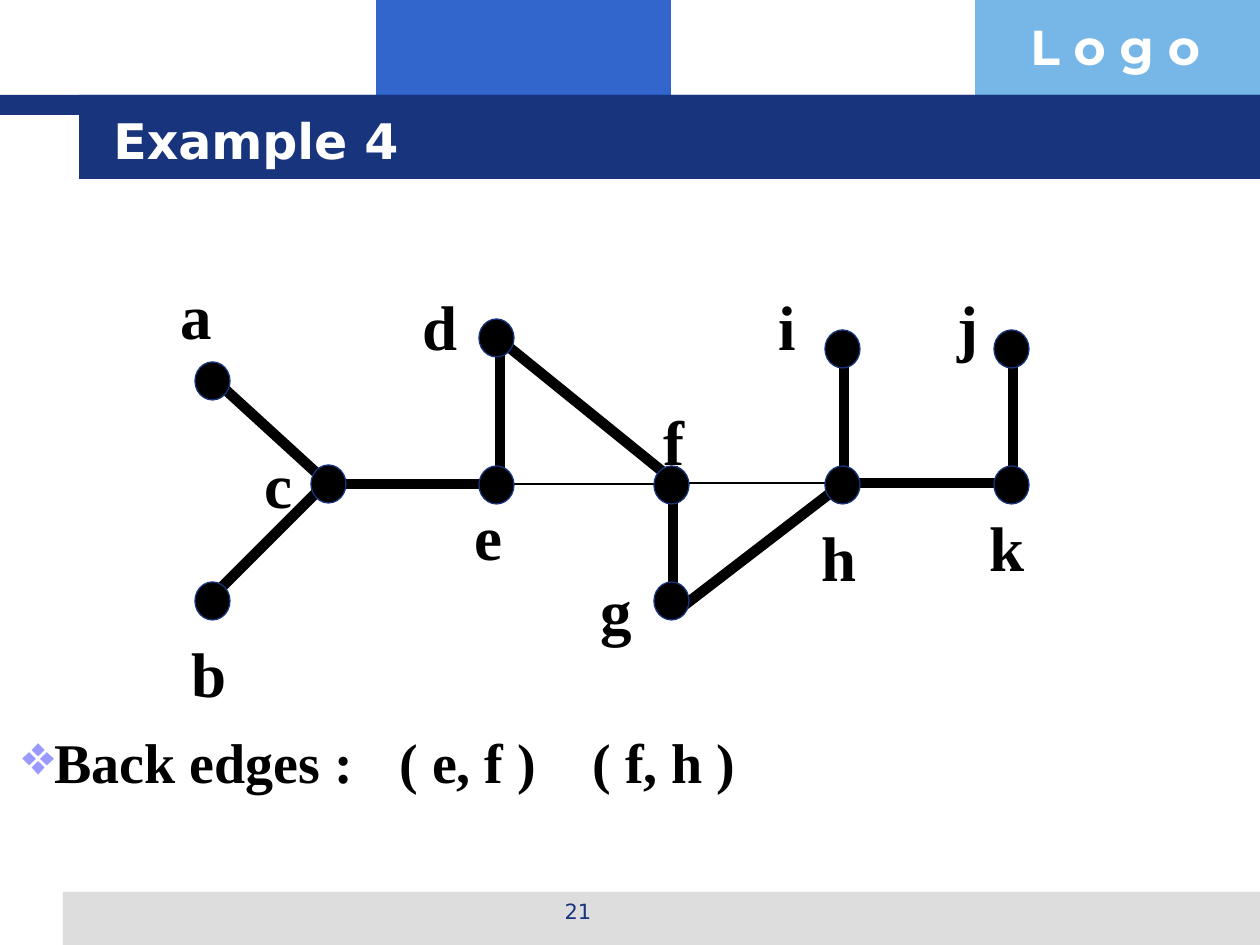
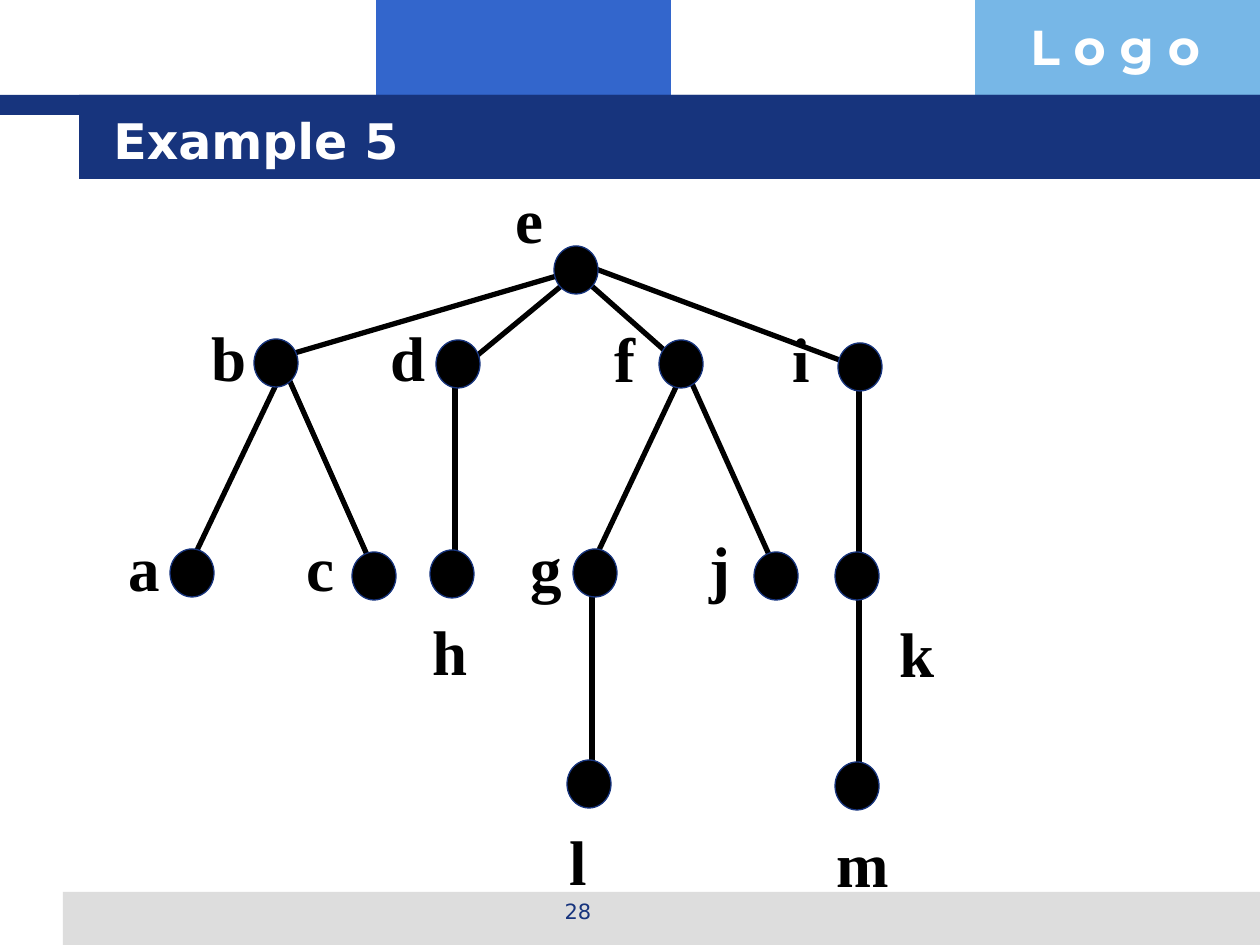
from lxml import etree
from pptx import Presentation
from pptx import util as u
from pptx.dml.color import RGBColor
from pptx.enum import shapes, text
from pptx.oxml import ns

PX = 914400 / 126
COLORS = {
    "navy": "17347D",
    "blue": "3366CC",
    "sky": "77B7E7",
    "gray": "DDDDDD",
    "lilac": "9999FF",
    "white": "FFFFFF",
    "black": "000000",
}
SANS, SERIF, LOGO_FONT = "DejaVu Sans", "Times New Roman", "Montserrat"

BANDS = [
    ("blue", (376, 0, 295, 116)),
    ("sky", (975, 0, 285, 116)),
    ("gray", (63, 892, 1197, 53)),
    ("navy", (0, 95, 1260, 20)),
    ("navy", (79, 95, 1181, 84)),
]

GRAPH_BOX = (160, 240)
GRAPH_NODES = {
    "a": (35, 122, 8, 30),
    "b": (35, 342, 19, 388),
    "c": (151, 225, 92, 199),
    "d": (319, 79, 250, 41),
    "e": (319, 226, 302, 251),
    "f": (494, 226, 491, 156),
    "g": (494, 342, 428, 325),
    "h": (665, 226, 649, 272),
    "i": (665, 90, 606, 41),
    "j": (834, 90, 785, 41),
    "k": (834, 226, 817, 262),
}
GRAPH_EDGES = {
    6: [
        (169, 244, 336, 244),
        (57, 142, 173, 248),
        (57, 352, 173, 236),
        (340, 100, 340, 248),
        (687, 243, 854, 243),
        (513, 226, 513, 374),
        (684, 100, 684, 248),
        (853, 100, 853, 248),
        (340, 100, 508, 236),
        (677, 248, 513, 374),
    ],
    1: [(340, 244, 508, 244)],
    1.5: [(509, 243, 677, 243)],
}

TREE_BOX = (100, 150)
TREE_NODES = {
    "e": (454, 96, 403, 24),
    "b": (154, 189, 99, 162),
    "d": (336, 190, 278, 162),
    "f": (559, 190, 502, 163),
    "i": (738, 193, 680, 163),
    "a": (70, 399, 16, 372),
    "c": (252, 402, 194, 372),
    "h": (330, 400, 320, 456),
    "g": (473, 399, 418, 372),
    "j": (654, 402, 597, 372),
    "k": (735, 402, 787, 458),
    "l": (467, 610, 457, 666),
    "m": (735, 612, 724, 668),
}
TREE_EDGES = {
    3: [
        (181, 207, 467, 123),
        (362, 218, 477, 123),
        (572, 207, 477, 123),
        (761, 218, 477, 112),
        (89, 417, 184, 218),
        (184, 218, 268, 407),
        (355, 215, 355, 407),
        (491, 417, 585, 218),
        (585, 218, 670, 407),
        (759, 218, 759, 408),
        (492, 425, 492, 615),
        (759, 427, 759, 619),
    ],
}


def emu(*lengths):
    return [u.Emu(round(length * PX)) for length in lengths]


def color(name):
    return RGBColor.from_string(COLORS[name])


def add_block(page, kind, box, fill, line=None):
    block = page.shapes.add_shape(kind, *emu(*box))
    block.shadow.inherit = False
    block.fill.solid()
    block.fill.fore_color.rgb = color(fill)
    if line:
        block.line.color.rgb = color(line)
        block.line.width = u.Pt(0.75)
    else:
        block.line.fill.background()


def add_bullet_and_tabs(para, bullet, bullet_color, tabs):
    props = para._p.get_or_add_pPr()
    props.set("marL", "0")
    props.set("indent", "0")
    tint = etree.SubElement(props, ns.qn("a:buClr"))
    etree.SubElement(tint, ns.qn("a:srgbClr"), val=COLORS[bullet_color])
    etree.SubElement(props, ns.qn("a:buChar"), char=bullet)
    stops = etree.SubElement(props, ns.qn("a:tabLst"))
    for position in emu(*tabs):
        etree.SubElement(stops, ns.qn("a:tab"), pos=str(position), algn="l")


def add_text(page, words, box, size, font, fill, bold=True, align=None,
             anchor=text.MSO_ANCHOR.TOP, bullet=None, tabs=()):
    frame = page.shapes.add_textbox(*emu(*box)).text_frame
    frame.word_wrap = True
    frame.vertical_anchor = anchor
    para = frame.paragraphs[0]
    para.text = words
    para.alignment = align
    if bullet:
        add_bullet_and_tabs(para, bullet, "lilac", tabs)
    para.font.size = u.Pt(size)
    para.font.name = font
    para.font.bold = bold
    para.font.color.rgb = color(fill)


def add_edge(page, ends, weight):
    edge = page.shapes.add_connector(shapes.MSO_CONNECTOR.STRAIGHT, *emu(*ends))
    edge.line.color.rgb = color("black")
    edge.line.width = u.Pt(weight)
    etree.SubElement(edge._element.spPr, ns.qn("a:effectLst"))


def add_diagram(page, origin, nodes, edges, node_size, label_size):
    left, top = origin
    for weight, lines in edges.items():
        for x1, y1, x2, y2 in lines:
            add_edge(page, (left + x1, top + y1, left + x2, top + y2), weight)
    for name, (x, y, label_x, label_y) in nodes.items():
        add_block(page, shapes.MSO_SHAPE.OVAL, (left + x, top + y, *node_size), "black", "navy")
        add_text(page, name, (left + label_x, top + label_y, *label_size), 36, SERIF, "black")


def add_page(deck, title, number):
    page = deck.slides.add_slide(deck.slide_layouts[6])
    for fill, box in BANDS:
        add_block(page, shapes.MSO_SHAPE.RECTANGLE, box, fill)
    add_text(page, "L o g o", (1018, 10, 243, 72), 28, LOGO_FONT, "white")
    add_text(page, number, (431, 892, 294, 44), 12, SANS, "navy",
             bold=False, align=text.PP_ALIGN.CENTER)
    add_text(page, title, (101, 101, 1075, 78), 28, SANS, "white",
             anchor=text.MSO_ANCHOR.MIDDLE)
    return page


def build_graph_page(deck):
    page = add_page(deck, "Example 4", "21")
    add_diagram(page, GRAPH_BOX, GRAPH_NODES, GRAPH_EDGES, (35, 38), (63, 84))
    add_text(page, "Back edges :\t( e, f )\t( f, h )", (10, 721, 1239, 140), 32, SERIF, "black",
             bullet="❖", tabs=(377, 570))


def build_tree_page(deck):
    page = add_page(deck, "Example 5", "28")
    add_diagram(page, TREE_BOX, TREE_NODES, TREE_EDGES, (44, 48), (80, 106))


def main():
    deck = Presentation()
    deck.slide_width, deck.slide_height = emu(1260, 945)
    build_graph_page(deck)
    build_tree_page(deck)
    deck.save("out.pptx")


if __name__ == "__main__":
    main()
